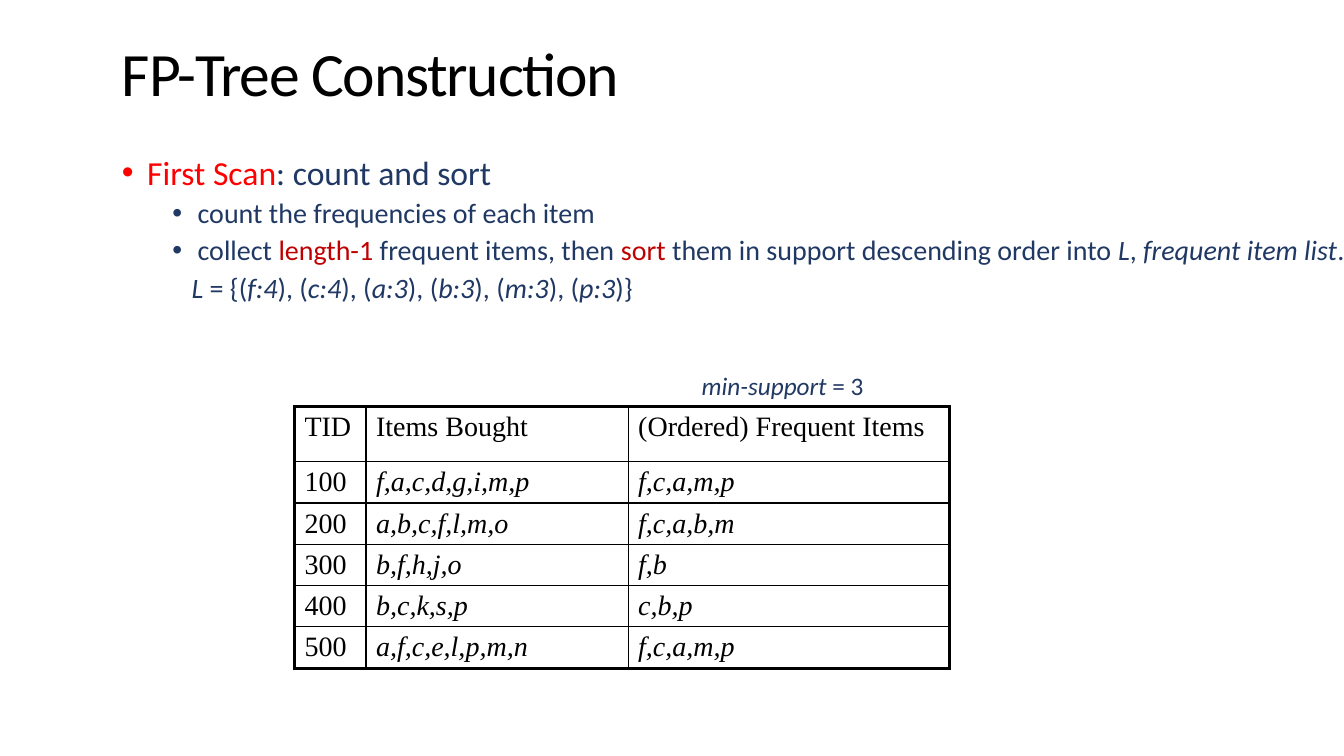
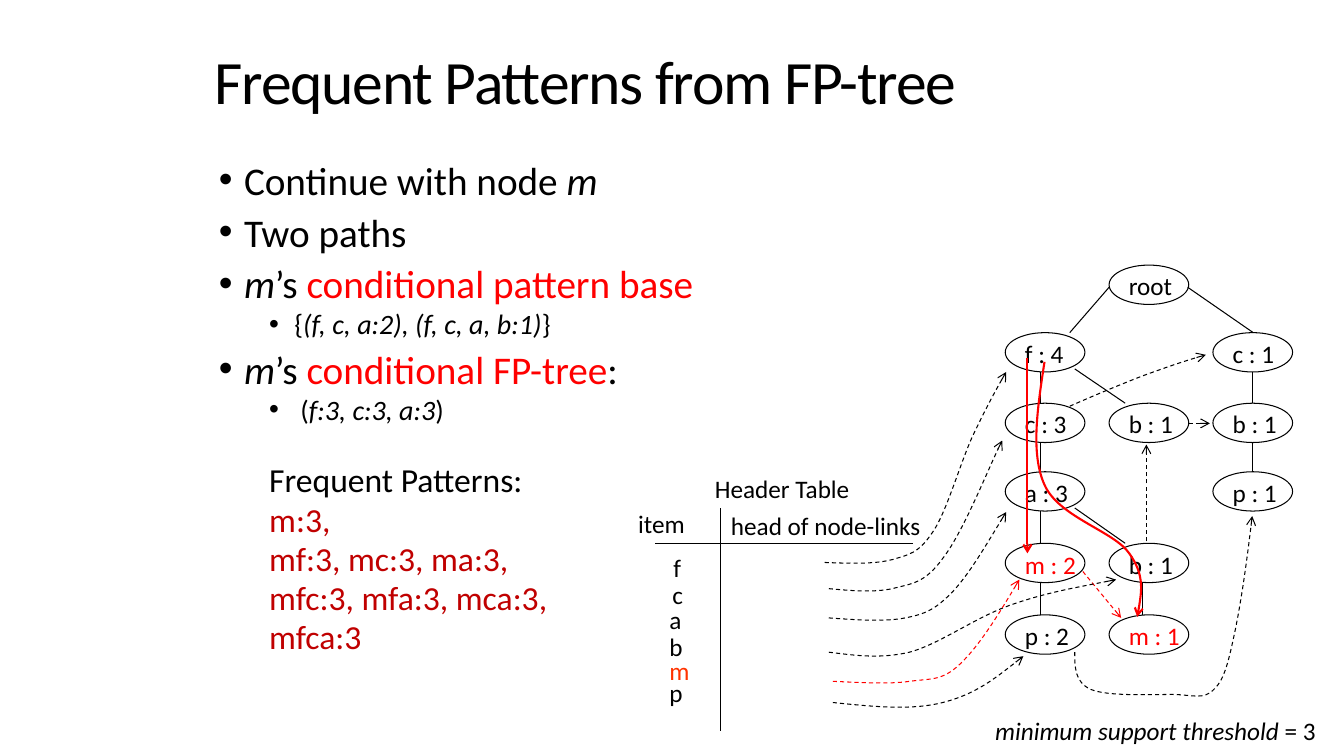
"""Build two slides on constructing and mining an FP-tree."""
from dataclasses import dataclass
from itertools import pairwise

from lxml import etree
from pptx import Presentation
from pptx.dml.color import RGBColor
from pptx.enum.dml import MSO_LINE
from pptx.enum.shapes import MSO_CONNECTOR, MSO_SHAPE
from pptx.enum.text import MSO_ANCHOR, MSO_AUTO_SIZE, PP_ALIGN
from pptx.oxml.ns import qn
from pptx.util import Inches, Pt

STRAIGHT = MSO_CONNECTOR.STRAIGHT
OVAL = MSO_SHAPE.OVAL
DASH = MSO_LINE.DASH
MIDDLE = MSO_ANCHOR.MIDDLE
TOP = MSO_ANCHOR.TOP
NO_FIT = MSO_AUTO_SIZE.NONE
LEFT = PP_ALIGN.LEFT


@dataclass(frozen=True)
class Theme:
    black = RGBColor(0x00, 0x00, 0x00)
    navy = RGBColor(0x20, 0x38, 0x64)
    red = RGBColor(0xFF, 0x00, 0x00)
    dark_red = RGBColor(0xC0, 0x00, 0x00)
    orange_red = RGBColor(0xFF, 0x33, 0x00)
    font = "Calibri"
    table_font = "Times New Roman"
    title = Pt(44)
    topic = Pt(28)
    heading = Pt(24)
    detail = Pt(20)
    label = Pt(18)
    thin = Pt(0.75)
    thick = Pt(1.5)
    cell_line = Pt(1)
    frame_line = Pt(2.25)


theme = Theme()
PLAIN = {}
ITALIC = {"italic": True}
RED = {"color": theme.red}
DARK_RED = {"color": theme.dark_red}


def write(paragraph, runs, **base):
    for text, changes in runs:
        run = paragraph.add_run()
        run.text = text
        look = {"name": theme.font, "color": theme.black, **base, **changes}
        run.font.color.rgb = look.pop("color")
        for attribute, value in look.items():
            setattr(run.font, attribute, value)


def stroke(shape, color=theme.black, width=theme.thin, dashed=False, arrow=False):
    shape.line.color.rgb = color
    shape.line.width = width
    if dashed:
        shape.line.dash_style = DASH
    properties = shape.line._get_or_add_ln()
    if arrow:
        etree.SubElement(properties, qn("a:tailEnd"), type="arrow")
    if not properties.getparent().findall(qn("a:effectLst")):
        properties.addnext(etree.Element(qn("a:effectLst")))


presentation = Presentation()
presentation.slide_width = Inches(13.33)
presentation.slide_height = Inches(7.5)

topic = {"margin": 0.25, "hang": 0.25, "before": 10, "bullet": True, "level": 0}
detail = {"margin": 0.75, "hang": 0.25, "before": 5, "bullet": True, "level": 1,
          "size": theme.detail}
unmarked = {**detail, "hang": 0, "bullet": False}
pattern = {**unmarked, "margin": 0.5, "size": theme.heading, "color": theme.dark_red}

item_list_runs = [("L", ITALIC), (" = {(", PLAIN)]
for position, count in enumerate(["f:4", "c:4", "a:3", "b:3", "m:3", "p:3"]):
    if position:
        item_list_runs.append(("), (", PLAIN))
    item_list_runs.append((count, ITALIC))
item_list_runs.append((")}", PLAIN))

construction_points = [
    ({**topic, "size": theme.heading}, [("First Scan", RED), (": count and sort", PLAIN)]),
    (detail, [("count the frequencies of each item", PLAIN)]),
    (detail, [("collect ", PLAIN), ("length-1", DARK_RED), (" frequent items, then ", PLAIN),
              ("sort", DARK_RED), (" them in support descending order into ", PLAIN),
              ("L", ITALIC), (", ", PLAIN), ("frequent item list", ITALIC), (".", PLAIN)]),
    ({**unmarked, "margin": 0.69}, item_list_runs),
]
big_topic = {**topic, "size": theme.topic}
mining_points = [
    (big_topic, [("Continue with node ", PLAIN), ("m", ITALIC)]),
    (big_topic, [("Two paths", PLAIN)]),
    (big_topic, [("m", ITALIC), ("’s ", PLAIN), ("conditional pattern base", RED)]),
    (detail, [("{", PLAIN), ("(f, c, a:2), (f, c, a, b:1)", ITALIC), ("}", PLAIN)]),
    (big_topic, [("m", ITALIC), ("’s ", PLAIN), ("conditional FP-tree", RED), (":", PLAIN)]),
    ({**detail, "margin": 0.81, "hang": 0.31},
     [("(", PLAIN), ("f:3, c:3, a:3", ITALIC), (")", PLAIN)]),
    ({**pattern, "before": 29.5, "color": theme.black}, [("Frequent Patterns:", PLAIN)]),
    (pattern, [("m:3,", PLAIN)]),
    (pattern, [("mf:3, mc:3, ma:3,", PLAIN)]),
    (pattern, [("mfc:3, mfa:3, mca:3,", PLAIN)]),
    (pattern, [("mfca:3", PLAIN)]),
]
outlines = [
    ("FP-Tree Construction", (1.11, 0.13, 8.5, 1.25), (1.11, 1.5, 12.46, 4.5),
     0.9, theme.navy, construction_points),
    ("Frequent Patterns from FP-tree", (2.03, 0.11, 11.5, 1.45), (2.07, 1.59, 9.07, 5.31),
     0.8, theme.black, mining_points),
]
slides = []
for heading, heading_box, points_box, line_spacing, text_color, points in outlines:
    slide = presentation.slides.add_slide(presentation.slide_layouts[1])
    slides.append(slide)
    title, body = slide.placeholders
    for placeholder, box, anchor in ((title, heading_box, MIDDLE), (body, points_box, TOP)):
        for side, length in zip(("left", "top", "width", "height"), box):
            setattr(placeholder, side, Inches(length))
        placeholder.text_frame.auto_size = NO_FIT
        placeholder.text_frame.vertical_anchor = anchor
        placeholder.text_frame.word_wrap = True

    title_line = title.text_frame.paragraphs[0]
    title_line.alignment = LEFT
    title_line.line_spacing = 0.9
    write(title_line, [(heading, PLAIN)], size=theme.title)
    title_line.runs[0]._r.get_or_add_rPr().set("spc", "-90")

    for number, (form, runs) in enumerate(points):
        frame = body.text_frame
        point = frame.add_paragraph() if number else frame.paragraphs[0]
        point.level = form["level"]
        point.line_spacing = line_spacing
        point.space_before = Pt(form["before"])
        properties = point._p.get_or_add_pPr()
        properties.set("marL", str(Inches(form["margin"])))
        properties.set("indent", str(-Inches(form["hang"])))
        if form["bullet"]:
            etree.SubElement(properties, qn("a:buChar"), char="•")
        else:
            etree.SubElement(properties, qn("a:buNone"))
        write(point, runs, size=form["size"], color=form.get("color", text_color))

construction, mining = slides

transactions = [
    ("TID", "Items Bought", "(Ordered) Frequent Items"),
    ("100", "f,a,c,d,g,i,m,p", "f,c,a,m,p"),
    ("200", "a,b,c,f,l,m,o", "f,c,a,b,m"),
    ("300", "b,f,h,j,o", "f,b"),
    ("400", "b,c,k,s,p", "c,b,p"),
    ("500", "a,f,c,e,l,p,m,n", "f,c,a,m,p"),
]
table = construction.shapes.add_table(
    len(transactions), 3, Inches(2.92), Inches(4.03), Inches(6.5), Inches(2.6)).table
table.first_row = False
table.horz_banding = False
for column, width in zip(table.columns, (0.71, 2.6, 3.19)):
    column.width = Inches(width)
last_row, last_column = len(transactions) - 1, 2
for row, values in enumerate(transactions):
    table.rows[row].height = Inches(0.41 if row else 0.55)
    for column, value in enumerate(values):
        cell = table.cell(row, column)
        write(cell.text_frame.paragraphs[0], [(value, PLAIN)], name=theme.table_font,
              size=theme.detail, bold=False, italic=row > 0 and column > 0)
        outer_sides = {"a:lnL": column == 0, "a:lnR": column == last_column,
                       "a:lnT": row == 0, "a:lnB": row == last_row}
        for side, outer in outer_sides.items():
            border = etree.SubElement(
                cell._tc.get_or_add_tcPr(), qn(side),
                w=str(theme.frame_line if outer else theme.cell_line))
            ink = etree.SubElement(border, qn("a:solidFill"))
            etree.SubElement(ink, qn("a:srgbClr"), val=str(theme.black))
        cell.fill.background()

labels = [
    (construction, 6.96, 3.67, 1.9, theme.navy, [("min-support", ITALIC), (" = 3", PLAIN)]),
    (mining, 9.87, 7.1, 3.4, theme.black,
     [("minimum support threshold", ITALIC), (" = 3", PLAIN)]),
    (mining, 7.09, 4.7, 1.51, theme.black, [("Header Table", PLAIN)]),
    (mining, 6.33, 5.04, 0.76, theme.black, [("item", PLAIN)]),
    (mining, 7.25, 5.06, 2.14, theme.black, [("head of node-links", PLAIN)]),
]
header_items = [("f", 6.68, 5.48), ("c", 6.67, 5.75), ("a", 6.64, 6), ("b", 6.64, 6.26),
                ("m", 6.64, 6.5), ("p", 6.64, 6.72)]
for item, left, top in header_items:
    item_color = theme.orange_red if item == "m" else theme.black
    labels.append((mining, left, top, 0.23, item_color, [(item, PLAIN)]))
for slide, left, top, width, color, runs in labels:
    label = slide.shapes.add_textbox(Inches(left), Inches(top), Inches(width), Inches(0.3))
    frame = label.text_frame
    frame.word_wrap = True
    for margin in ("margin_left", "margin_right", "margin_top", "margin_bottom"):
        setattr(frame, margin, 0)
    write(frame.paragraphs[0], runs, size=theme.label, color=color)

node_columns = [9.97 + 1.03 * step for step in range(3)]
node_rows = [2.63, 3.3, 4, 4.68, 5.39, 6.1]
node_width, node_height = 0.79, 0.39
nodes = [
    ("root", 1, 0), ("f : 4", 0, 1), ("c : 3", 0, 2), ("a : 3", 0, 3), ("m : 2", 0, 4),
    ("p : 2", 0, 5), ("b : 1", 1, 2), ("b : 1", 1, 4), ("m : 1", 1, 5),
    ("c : 1", 2, 1), ("b : 1", 2, 2), ("p : 1", 2, 3),
]
for text, column, row in nodes:
    node = mining.shapes.add_shape(
        OVAL, Inches(node_columns[column]), Inches(node_rows[row]),
        Inches(node_width), Inches(node_height))
    node.shadow.inherit = False
    node.fill.background()
    stroke(node)
    frame = node.text_frame
    node_format = {"word_wrap": False, "vertical_anchor": MIDDLE, "margin_left": Inches(0.08),
                   "margin_right": 0, "margin_top": Inches(0.02), "margin_bottom": 0}
    for attribute, value in node_format.items():
        setattr(frame, attribute, value)
    frame.paragraphs[0].alignment = LEFT
    write(frame.paragraphs[0], [(text, PLAIN)], size=theme.label,
          color=theme.red if text.startswith("m") else theme.black)

dashed_link = {"dashed": True, "arrow": True}
red_link = {**dashed_link, "color": theme.red}
m_path = {"color": theme.red, "width": theme.thick, "arrow": True}

straight_lines = [
    ((6.5, 5.39), (9.06, 5.39), PLAIN),
    ((7.15, 5.04), (7.15, 7.25), PLAIN),
    ((11, 2.85), (10.61, 3.3), PLAIN),
    ((11.78, 2.85), (12.43, 3.3), PLAIN),
    ((10.66, 3.66), (11.16, 4), PLAIN),
    ((10.66, 5.04), (11.16, 5.39), PLAIN),
    ((10.74, 5.67), (11.12, 6.13), red_link),
    ((11.37, 5.37), (11.37, 4.41), dashed_link),
    ((11.79, 4.2), (12, 4.2), dashed_link),
    ((10.19, 3.55), (10.19, 5.49), m_path),
]
for branch_x, branch_rows in ((10.32, node_rows[1:]), (11.33, node_rows[4:]),
                              (12.42, node_rows[1:4])):
    for parent, child in pairwise(branch_rows):
        straight_lines.append(((branch_x, parent + node_height), (branch_x, child), PLAIN))
for start, end, look in straight_lines:
    line = mining.shapes.add_connector(STRAIGHT, *(Inches(value) for value in start + end))
    stroke(line, **look)

curves = [
    ([(8.18, 5.58), (8.44, 5.59), (8.71, 5.6), (8.89, 5.54), (9.07, 5.49), (9.14, 5.45),
      (9.27, 5.25), (9.4, 5.04), (9.53, 4.58), (9.65, 4.32), (9.77, 4.07), (9.87, 3.88),
      (9.98, 3.69)], dashed_link),
    ([(8.22, 5.84), (8.44, 5.86), (8.66, 5.88), (8.85, 5.84), (9.04, 5.79), (9.17, 5.79),
      (9.35, 5.54), (9.54, 5.3), (9.84, 4.56), (9.94, 4.37)], dashed_link),
    ([(8.22, 6.13), (8.5, 6.15), (8.77, 6.17), (8.98, 6.13), (9.18, 6.09), (9.27, 6.05),
      (9.44, 5.88), (9.61, 5.7), (9.79, 5.39), (9.98, 5.08)], dashed_link),
    ([(8.22, 6.47), (8.47, 6.5), (8.72, 6.54), (9.02, 6.47), (9.32, 6.39), (9.68, 6.12),
      (10.03, 6), (10.37, 5.88), (10.72, 5.82), (11.07, 5.75)], dashed_link),
    ([(8.26, 6.76), (8.53, 6.77), (8.81, 6.79), (9.02, 6.76), (9.23, 6.73), (9.34, 6.76),
      (9.52, 6.59), (9.7, 6.42), (9.91, 6.09), (10.11, 5.75)], red_link),
    ([(8.26, 6.97), (8.65, 7.01), (9.04, 7.05), (9.35, 6.97), (9.67, 6.89), (9.91, 6.7),
      (10.15, 6.51)], dashed_link),
    ([(10.61, 4.03), (10.86, 3.92), (11.1, 3.82), (11.33, 3.73), (11.55, 3.65),
      (11.75, 3.58), (11.96, 3.52)], dashed_link),
    ([(10.66, 6.47), (10.66, 6.62), (10.66, 6.77), (10.82, 6.84), (10.98, 6.91),
      (11.42, 6.89), (11.62, 6.89), (11.82, 6.89), (11.94, 6.95), (12.04, 6.84),
      (12.15, 6.74), (12.19, 6.54), (12.25, 6.26), (12.31, 5.97), (12.37, 5.55),
      (12.42, 5.12)], dashed_link),
    ([(10.36, 3.59), (10.29, 4.05), (10.22, 4.5), (10.36, 4.81), (10.5, 5.13),
      (11.05, 5.27), (11.2, 5.49), (11.35, 5.7), (11.32, 5.91), (11.28, 6.12)], m_path),
]
for points, look in curves:
    start, *controls = [(Inches(x), Inches(y)) for x, y in points]
    builder = mining.shapes.build_freeform(*start)
    builder.add_line_segments(controls, close=False)
    curve = builder.convert_to_shape()
    segments = list(curve._element.iter(qn("a:lnTo")))
    outline = segments[0].getparent()
    for first in range(0, len(segments), 3):
        bend = etree.SubElement(outline, qn("a:cubicBezTo"))
        for segment in segments[first:first + 3]:
            bend.append(segment[0])
            outline.remove(segment)
    curve.shadow.inherit = False
    curve.fill.background()
    stroke(curve, **look)

presentation.save("out.pptx")
